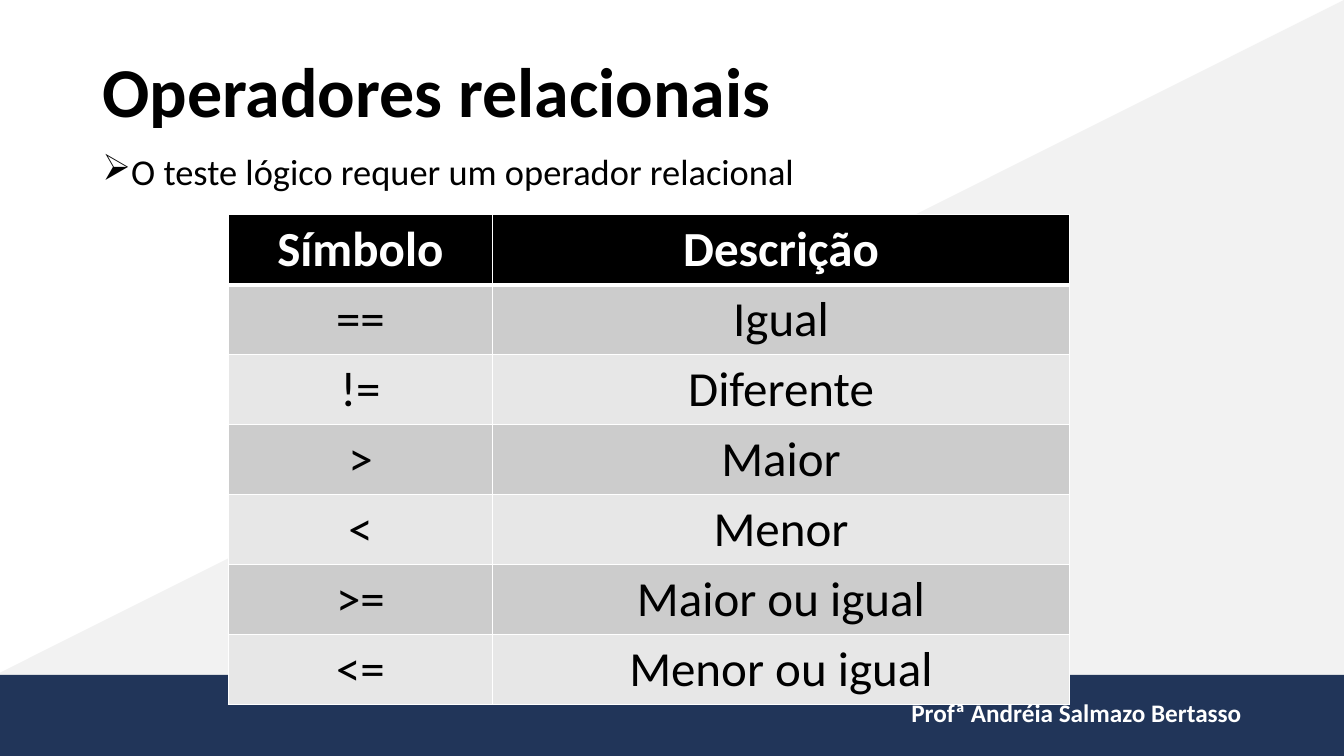
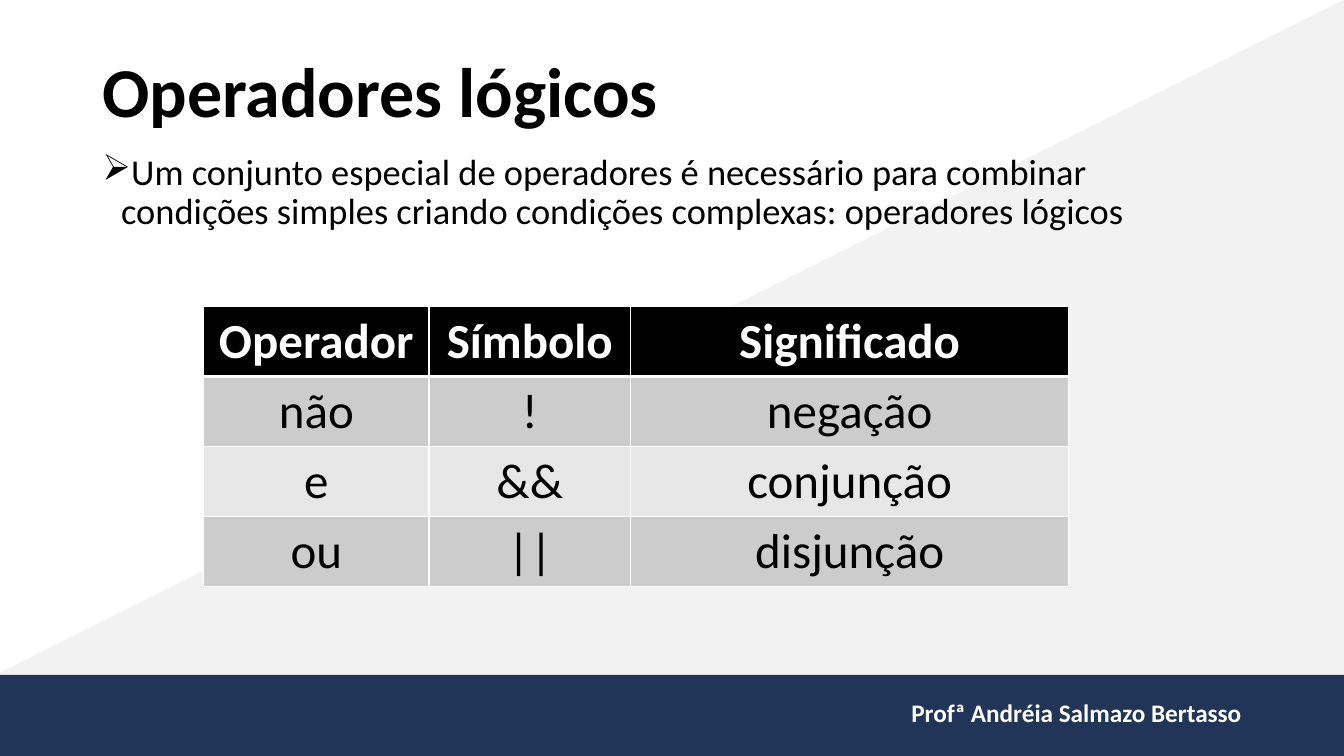
from pptx import Presentation
from pptx.dml.color import RGBColor
from pptx.enum.shapes import MSO_SHAPE
from pptx.enum.text import MSO_ANCHOR, PP_ALIGN
from pptx.oxml import parse_xml
from pptx.oxml.ns import nsdecls, qn
from pptx.util import Pt

# Content
SLIDES = [
    {
        "title": "Operadores relacionais",
        "point": "O teste lógico requer um operador relacional",
        "at": (163, 153.5),
        "cols": (189, 412),
        "rows": [
            ("Símbolo", "Descrição"),
            ("==", "Igual"),
            ("!=", "Diferente"),
            (">", "Maior"),
            ("<", "Menor"),
            (">=", "Maior ou igual"),
            ("<=", "Menor ou igual"),
        ],
    },
    {
        "title": "Operadores lógicos",
        "point": "Um conjunto especial de operadores é necessário para combinar "
                 "condições simples criando condições complexas: operadores lógicos",
        "at": (145.5, 219),
        "cols": (161, 144, 313),
        "rows": [
            ("Operador", "Símbolo", "Significado"),
            ("não", "!", "negação"),
            ("e", "&&", "conjunção"),
            ("ou", "||", "disjunção"),
        ],
    },
]
FOOTER = "Profª Andréia Salmazo Bertasso"

# Shared style
FONT = "Calibri"
BLACK, WHITE, NAVY, PALE = "000000", "FFFFFF", "213559", "F2F2F2"
STRIPES = ("CCCCCC", "E7E7E7")
WIDTH, HEIGHT = 960, 540
BAND = 482
LEFT, SPAN = 66, 828
ROW = 50
HANG = 13.5


def paint(fill, color):
    fill.solid()
    fill.fore_color.rgb = RGBColor.from_string(color)


def style(par, size, color, bold=False, align=PP_ALIGN.LEFT):
    font = par.font
    font.name, font.size, font.bold = FONT, Pt(size), bold
    font.color.rgb = RGBColor.from_string(color)
    par.alignment = align


def add_block(slide, kind, box, color):
    block = slide.shapes.add_shape(kind, *map(Pt, box))
    block.shadow.inherit = False
    paint(block.fill, color)
    block.line.fill.background()
    return block


def add_text(slide, text, box, *look, anchor=MSO_ANCHOR.TOP):
    frame = slide.shapes.add_textbox(*map(Pt, box)).text_frame
    frame.word_wrap = True
    frame.vertical_anchor = anchor
    par = frame.paragraphs[0]
    par.text = text
    style(par, *look)
    return par


def add_bullet(par):
    props = par._p.get_or_add_pPr()
    props.set("marL", str(Pt(HANG)))
    props.set("indent", str(-Pt(HANG)))
    props.append(parse_xml(f'<a:buChar {nsdecls("a")} char="➢"/>'))


def add_edges(cell, top, bottom):
    props = cell._tc.get_or_add_tcPr()
    for side, width in zip("LRTB", (1, 1, top, bottom)):
        props.append(parse_xml(
            f'<a:ln{side} {nsdecls("a")} w="{Pt(width)}"><a:solidFill>'
            f'<a:srgbClr val="{WHITE}"/></a:solidFill></a:ln{side}>'))


def add_base(slide):
    # Backdrop, band and footer
    wedge = add_block(slide, MSO_SHAPE.RIGHT_TRIANGLE, (-3, 0, WIDTH + 3, BAND), PALE)
    wedge._element.spPr.find(qn("a:xfrm")).set("flipH", "1")
    add_block(slide, MSO_SHAPE.RECTANGLE, (0, BAND, WIDTH, HEIGHT - BAND), NAVY)
    add_text(slide, FOOTER, (633, 494.5, 261, 29), 18, WHITE, True, PP_ALIGN.RIGHT)


def add_grid(slide, at, cols, rows):
    size = (sum(cols), ROW * len(rows))
    grid = slide.shapes.add_table(len(rows), len(cols), *map(Pt, at + size)).table
    for col, width in zip(grid.columns, cols):
        col.width = Pt(width)
    for r, row in enumerate(rows):
        grid.rows[r].height = Pt(ROW)
        head = r == 0
        for c, text in enumerate(row):
            cell = grid.cell(r, c)
            cell.text = text
            style(cell.text_frame.paragraphs[0], 35, WHITE if head else BLACK,
                  head, PP_ALIGN.CENTER)
            add_edges(cell, 3 if r == 1 else 1, 3 if head else 1)
            paint(cell.fill, BLACK if head else STRIPES[(r - 1) % 2])


def main():
    deck = Presentation()
    deck.slide_width, deck.slide_height = Pt(WIDTH), Pt(HEIGHT)
    for page in SLIDES:
        slide = deck.slides.add_slide(deck.slide_layouts[6])
        add_base(slide)
        # Title and point
        title = add_text(slide, page["title"], (LEFT, 29, SPAN, 78), 50, BLACK, True,
                         anchor=MSO_ANCHOR.MIDDLE)
        point = add_text(slide, page["point"], (LEFT, 106.5, SPAN, 362), 26, BLACK)
        title.line_spacing = point.line_spacing = 0.9
        point.space_before = Pt(7.5)
        add_bullet(point)
        add_grid(slide, page["at"], page["cols"], page["rows"])
    deck.save("out.pptx")


if __name__ == "__main__":
    main()
